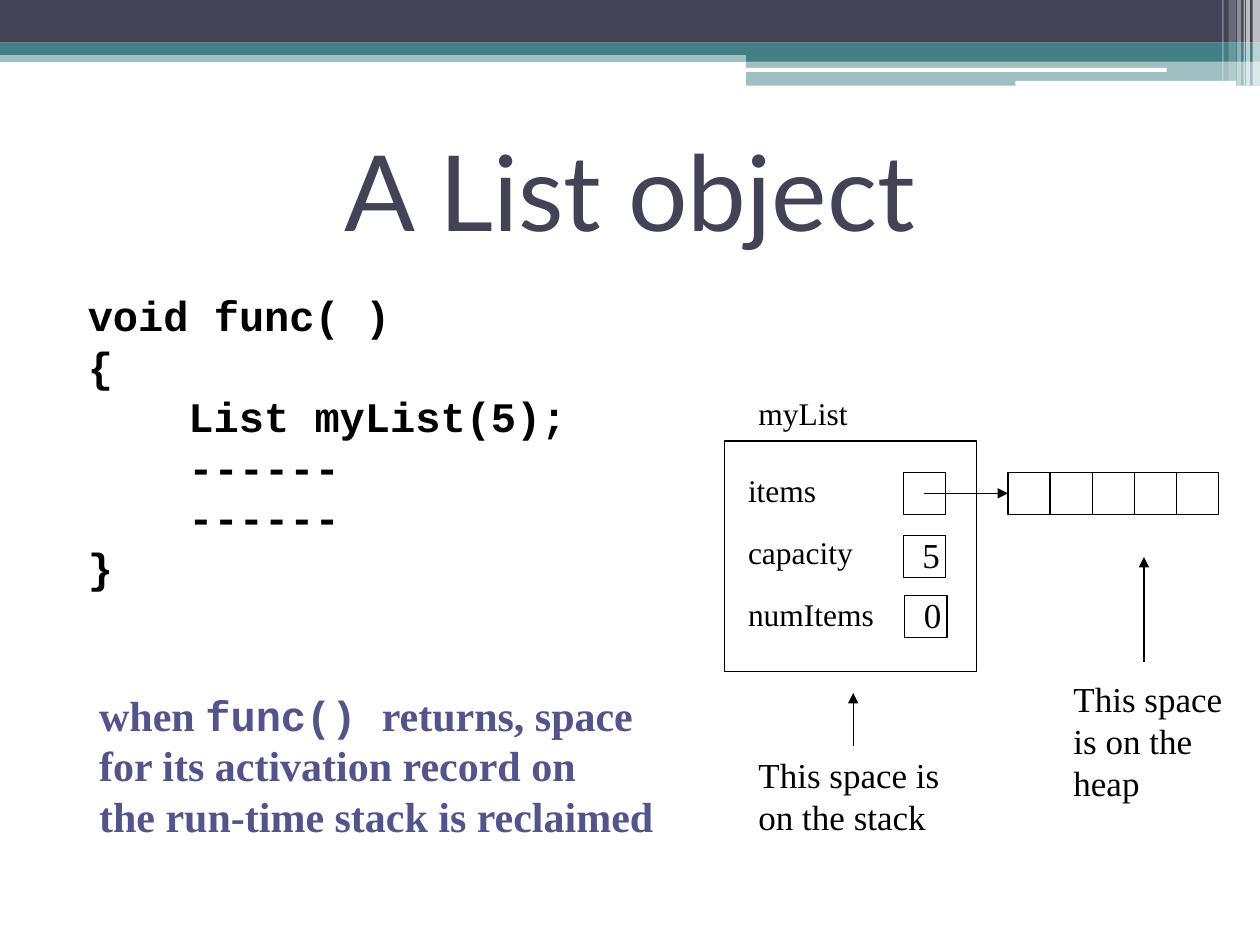
"""Build a slide showing where a List object lives on the stack and the heap."""
import dataclasses
import typing

import lxml.etree
import pptx
import pptx.dml.color
import pptx.enum.shapes
import pptx.enum.text
import pptx.oxml.ns
import pptx.util

Cm = pptx.util.Cm
Pt = pptx.util.Pt
ShapeKind = pptx.enum.shapes.MSO_SHAPE


@dataclasses.dataclass(frozen=True)
class Theme:
    navy: str = "424456"
    teal: str = "438086"
    violet: str = "53548A"
    black: str = "000000"
    white: str = "FFFFFF"
    title_font: str = "Lato"
    code_font: str = "Courier New"
    body_font: str = "Times New Roman"
    title_size: int = 60
    code_size: int = 24
    note_size: int = 20
    label_size: int = 18
    line_width: float = 0.75


THEME = Theme()


class Box(typing.NamedTuple):
    left: float
    top: float
    width: float
    height: float

    def lengths(self) -> list[pptx.util.Length]:
        return [Cm(value) for value in self]


@dataclasses.dataclass(frozen=True)
class Band:
    box: Box
    color: str
    opacity: int = 100
    kind: ShapeKind = ShapeKind.RECTANGLE


@dataclasses.dataclass(frozen=True)
class Run:
    text: str
    font: str = THEME.body_font


@dataclasses.dataclass(frozen=True)
class Line:
    runs: tuple[Run, ...]
    indent: float = 0


@dataclasses.dataclass(frozen=True)
class TextBlock:
    box: Box
    lines: tuple[Line, ...]
    size: int
    color: str = THEME.black
    bold: bool = False
    spacing: float = 1.0
    gap: int = 0
    centered: bool = False


@dataclasses.dataclass(frozen=True)
class Annotation:
    text: TextBlock
    arrow_x: float
    arrow_from: float
    arrow_to: float


def plain_lines(*texts: str) -> tuple[Line, ...]:
    return tuple(Line((Run(text),)) for text in texts)


def code_line(text: str, indent: float = 0) -> Line:
    return Line((Run(text, THEME.code_font),), indent)


def rgb(color: str) -> pptx.dml.color.RGBColor:
    return pptx.dml.color.RGBColor.from_string(color)


def draw_band(shapes: typing.Any, band: Band) -> None:
    shape = shapes.add_shape(band.kind, *band.box.lengths())
    shape.shadow.inherit = False
    shape.fill.solid()
    shape.fill.fore_color.rgb = rgb(band.color)
    shape.line.fill.background()
    if band.opacity < 100:
        color = shape.fill._xPr.find(".//" + pptx.oxml.ns.qn("a:srgbClr"))
        lxml.etree.SubElement(color, pptx.oxml.ns.qn("a:alpha"), val=str(band.opacity * 1000))


def draw_frame(shapes: typing.Any, box: Box) -> typing.Any:
    shape = shapes.add_shape(ShapeKind.RECTANGLE, *box.lengths())
    shape.shadow.inherit = False
    shape.fill.background()
    shape.line.color.rgb = rgb(THEME.black)
    shape.line.width = Pt(THEME.line_width)
    return shape


def draw_text(shapes: typing.Any, block: TextBlock) -> None:
    frame = shapes.add_textbox(*block.box.lengths()).text_frame
    frame.word_wrap = True
    frame.margin_right = 0
    if block.centered:
        frame.margin_left = 0
        frame.vertical_anchor = pptx.enum.text.MSO_ANCHOR.MIDDLE
    for index, line in enumerate(block.lines):
        paragraph = frame.add_paragraph() if index else frame.paragraphs[0]
        paragraph.line_spacing = block.spacing
        paragraph.space_before = Pt(block.gap if index else 0)
        if block.centered:
            paragraph.alignment = pptx.enum.text.PP_ALIGN.CENTER
        if line.indent:
            paragraph._p.get_or_add_pPr().set("marL", str(Cm(line.indent)))
        for part in line.runs:
            run = paragraph.add_run()
            run.text = part.text
            run.font.name = part.font
            run.font.size = Pt(block.size)
            run.font.bold = block.bold
            run.font.color.rgb = rgb(block.color)


def draw_arrow(shapes: typing.Any, *ends: int) -> typing.Any:
    arrow = shapes.add_connector(pptx.enum.shapes.MSO_CONNECTOR.STRAIGHT, *ends)
    arrow.line.color.rgb = rgb(THEME.black)
    arrow.line.width = Pt(THEME.line_width)
    lxml.etree.SubElement(arrow.line._get_or_add_ln(), pptx.oxml.ns.qn("a:tailEnd"), type="triangle")
    lxml.etree.SubElement(arrow._element.spPr, pptx.oxml.ns.qn("a:effectLst"))
    return arrow


def draw_annotation(shapes: typing.Any, note: Annotation) -> None:
    group = shapes.add_group_shape()
    draw_text(group.shapes, note.text)
    draw_arrow(group.shapes, Cm(note.arrow_x), Cm(note.arrow_from), Cm(note.arrow_x), Cm(note.arrow_to))


def draw_list_object(shapes: typing.Any) -> None:
    cell, row_top = 0.85, 9.52
    draw_frame(shapes, Box(14.6, 8.89, 5.08, 4.65))
    pointer = draw_frame(shapes, Box(18.21, row_top, cell, cell))
    for left, top, value in ((18.21, 10.8, " 5"), (18.24, 12.01, " 0")):
        draw_frame(shapes, Box(left, top, cell, cell))
        draw_text(shapes, TextBlock(Box(left - 0.04, top - 0.17, 1.04, 1.12), plain_lines(value), THEME.note_size))
    heap = [draw_frame(shapes, Box(20.32 + index * cell, row_top, cell, cell)) for index in range(5)]
    middle = pointer.top + pointer.height // 2
    arrow = draw_arrow(shapes, pointer.left + pointer.width // 2, middle, heap[0].left, middle)
    arrow.end_connect(heap[0], 1)


BANDS = (
    Band(Box(0, 1.02, 25.4, 0.23), THEME.teal, 50),
    Band(Box(0, 0, 25.4, 0.86), THEME.navy),
    Band(Box(0, 0.86, 25.4, 0.25), THEME.teal),
    Band(Box(15.04, 0.99, 10.36, 0.25), THEME.teal),
    Band(Box(15.04, 1.22, 10.36, 0.51), THEME.teal, 50),
    Band(Box(15.01, 1.37, 8.51, 0.08), THEME.white, kind=ShapeKind.ROUNDED_RECTANGLE),
    Band(Box(20.47, 1.63, 4.45, 0.1), THEME.white, kind=ShapeKind.ROUNDED_RECTANGLE),
) + tuple(
    Band(Box(left, 0, width, height), THEME.white, opacity)
    for left, width, height, opacity in (
        (25.25, 0.15, 1.73, 65), (25.12, 0.08, 1.73, 65), (25.07, 0.03, 1.73, 60),
        (24.94, 0.08, 1.73, 40), (24.77, 0.15, 1.63, 20), (24.64, 0.03, 1.63, 30),
    )
)
CODE = (code_line("void func( )"), code_line("{"), code_line("List myList(5);", 2.03),
        code_line("------", 2.03), code_line("------", 2.03), code_line("}"))
REMARK = (Line((Run("when "), Run("func() ", THEME.code_font), Run("returns, space"))),
          *plain_lines("for its activation record on", "the run-time stack is reclaimed"))
TEXTS = (
    TextBlock(Box(1.27, 2.34, 22.86, 2.97), (Line((Run("A List object", THEME.title_font),)),),
              THEME.title_size, THEME.navy, centered=True),
    TextBlock(Box(1.52, 5.72, 10.16, 6.35), CODE, THEME.code_size, bold=True),
    TextBlock(Box(1.75, 13.77, 11.68, 3.3), REMARK, THEME.code_size, THEME.violet, bold=True),
    TextBlock(Box(14.83, 9.52, 3.05, 3.3), plain_lines("items", "capacity", "numItems"),
              THEME.label_size, spacing=0.8, gap=18),
    TextBlock(Box(15.04, 7.82, 2.31, 1.02), plain_lines("myList"), THEME.label_size),
)
ANNOTATIONS = (
    Annotation(TextBlock(Box(15.04, 15.06, 4.17, 1.96), plain_lines("This space is", "on the stack"),
                         THEME.note_size), 17.2, 15.04, 13.97),
    Annotation(TextBlock(Box(21.39, 13.54, 3.51, 2.79), plain_lines("This space", "is on the", "heap"),
                         THEME.note_size), 23.06, 13.34, 11.23),
)


def main() -> None:
    presentation = pptx.Presentation()
    presentation.slide_width, presentation.slide_height = Cm(25.4), Cm(19.05)
    shapes = presentation.slides.add_slide(presentation.slide_layouts[6]).shapes
    for band in BANDS:
        draw_band(shapes, band)
    for block in TEXTS:
        draw_text(shapes, block)
    draw_list_object(shapes)
    for note in ANNOTATIONS:
        draw_annotation(shapes, note)
    presentation.save("out.pptx")


if __name__ == "__main__":
    main()
